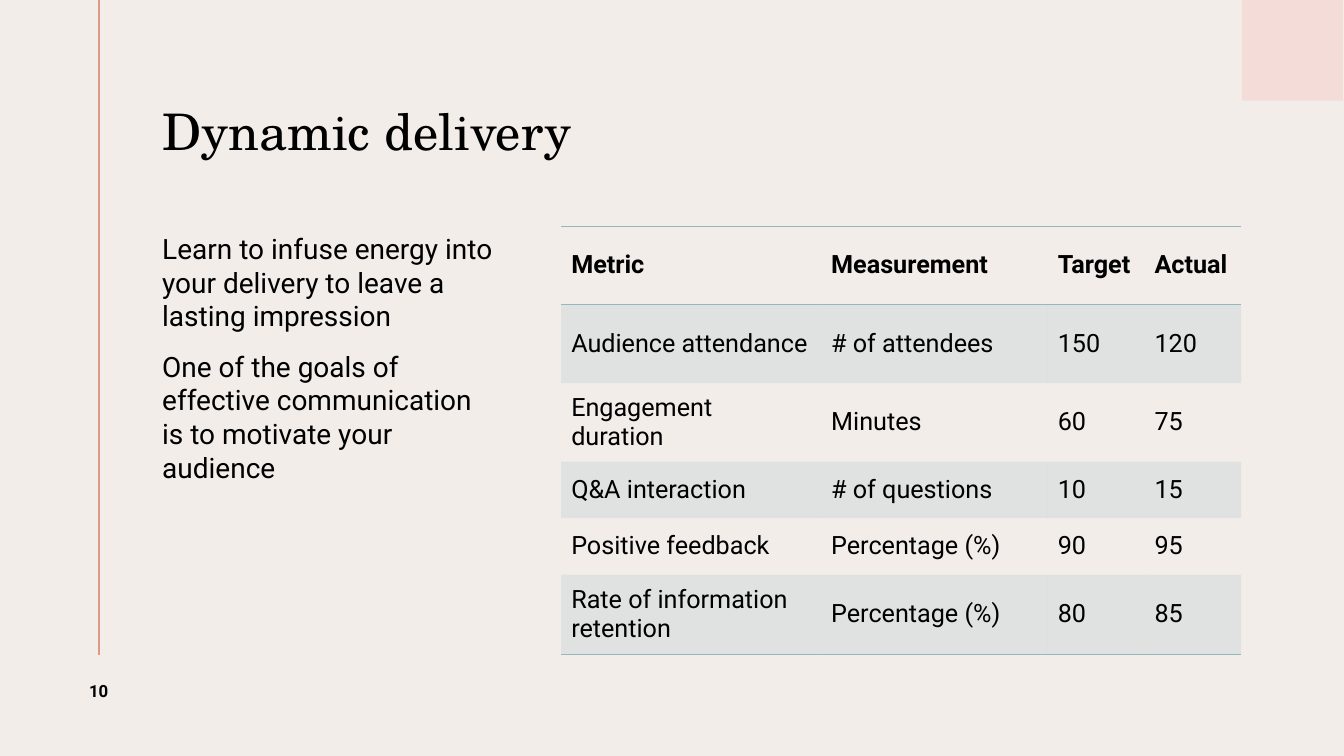
from dataclasses import dataclass

from lxml.etree import SubElement
from pptx import Presentation
from pptx.dml.color import RGBColor
from pptx.enum.shapes import MSO_CONNECTOR, MSO_SHAPE
from pptx.enum.text import MSO_ANCHOR as Anchor, MSO_AUTO_SIZE as AutoSize, PP_ALIGN as Align
from pptx.oxml.ns import qn
from pptx.util import Inches, Pt


@dataclass(frozen=True)
class Theme:
    background: str = "F3EDEA"
    corner: str = "F4DDD8"
    rule: str = "DF998B"
    table: str = "95B8BF"
    text: str = "000000"
    heading_font: str = "TeX Gyre Schola"
    body_font: str = "Roboto"
    title_size: int = 36
    body_size: int = 20
    table_size: int = 18
    number_size: int = 12
    rule_width: float = 1.5
    border_width: float = 0.45
    band_opacity: int = 20


THEME = Theme()
NO_STYLE_NO_GRID = "{2D5ABB26-0587-4C30-8999-92F81FD0307C}"

MESSAGES = [
    "Learn to infuse energy into your delivery to leave a lasting impression",
    "One of the goals of effective communication is to motivate your audience",
]
METRICS = [
    ("Metric", "Measurement", "Target", "Actual"),
    ("Audience attendance", "# of attendees", "150", "120"),
    ("Engagement duration", "Minutes", "60", "75"),
    ("Q&A interaction", "# of questions", "10", "15"),
    ("Positive feedback", "Percentage (%)", "90", "95"),
    ("Rate of information retention", "Percentage (%)", "80", "85"),
]
COLUMN_WIDTHS = [2.58, 2.25, 0.96, 0.96]
ROW_HEIGHTS = [0.78, 0.78, 0.78, 0.56, 0.56, 0.79]


def rgb(colour):
    return RGBColor.from_string(colour)


def apply_format(target, values):
    for name, value in values.items():
        setattr(target, name, value)


def write(frame, lines, size, font=THEME.body_font, bold=False, **paragraph_format):
    frame.text = "\n".join(lines)
    for paragraph in frame.paragraphs:
        apply_format(paragraph, paragraph_format)
        apply_format(paragraph.font, {"name": font, "size": Pt(size), "bold": bold})
        paragraph.font.color.rgb = rgb(THEME.text)


def add_title(slide, text):
    title = slide.shapes.title
    apply_format(title, {"left": Inches(1.61), "top": Inches(0.55),
                         "width": Inches(10.73), "height": Inches(1.56)})
    apply_format(title.text_frame, {"auto_size": AutoSize.NONE, "margin_left": 0,
                                    "vertical_anchor": Anchor.MIDDLE})
    write(title.text_frame, [text], THEME.title_size, THEME.heading_font,
          alignment=Align.LEFT, line_spacing=0.9)


def add_text(slide, box, lines, size, frame_format, **text_format):
    text_box = slide.shapes.add_textbox(*map(Inches, box))
    apply_format(text_box.text_frame, {"word_wrap": True, **frame_format})
    write(text_box.text_frame, lines, size, **text_format)
    return text_box


def add_corner(slide):
    corner = slide.shapes.add_shape(
        MSO_SHAPE.RECTANGLE, Inches(12.33), 0, Inches(1), Inches(1))
    corner.shadow.inherit = False
    corner.fill.solid()
    corner.fill.fore_color.rgb = rgb(THEME.corner)
    corner.line.fill.background()


def add_rule(slide, page_number):
    rule = slide.shapes.add_connector(
        MSO_CONNECTOR.STRAIGHT, Inches(0.98), 0, Inches(0.98), Inches(6.5))
    rule.end_connect(page_number, 0)
    rule.line.color.rgb = rgb(THEME.rule)
    rule.line.width = Pt(THEME.rule_width)
    SubElement(rule._element.spPr, qn("a:effectLst"))


def set_borders(cell, visible):
    properties = cell._tc.get_or_add_tcPr()
    for side in "LRTB":
        border = SubElement(properties, qn(f"a:ln{side}"), w=str(int(Pt(THEME.border_width))))
        if side in visible:
            fill = SubElement(border, qn("a:solidFill"))
            SubElement(fill, qn("a:srgbClr"), val=THEME.table)
        else:
            SubElement(border, qn("a:noFill"))


def set_band(cell, shaded):
    if not shaded:
        cell.fill.background()
        return
    cell.fill.solid()
    cell.fill.fore_color.rgb = rgb(THEME.table)
    colour = cell._tc.tcPr.find(f"{qn('a:solidFill')}/{qn('a:srgbClr')}")
    SubElement(colour, qn("a:alpha"), val=str(THEME.band_opacity * 1000))


def add_metrics_table(slide):
    metrics = slide.shapes.add_table(
        len(METRICS), len(COLUMN_WIDTHS), Inches(5.57), Inches(2.24),
        Inches(sum(COLUMN_WIDTHS)), Inches(sum(ROW_HEIGHTS))).table
    metrics.horz_banding = False
    metrics._tbl.tblPr.find(qn("a:tableStyleId")).text = NO_STYLE_NO_GRID
    for column, width in zip(metrics.columns, COLUMN_WIDTHS):
        column.width = Inches(width)
    for row, height in zip(metrics.rows, ROW_HEIGHTS):
        row.height = Inches(height)

    # Header is ruled above and below, the last row below; odd rows are shaded
    visible_borders = {0: "TB", 1: "T", len(METRICS) - 1: "B"}
    for r, values in enumerate(METRICS):
        for c, value in enumerate(values):
            cell = metrics.cell(r, c)
            cell.vertical_anchor = Anchor.MIDDLE
            write(cell.text_frame, [value], THEME.table_size, bold=r == 0)
            set_borders(cell, visible_borders.get(r, ""))
            set_band(cell, r % 2 == 1)


def main():
    deck = Presentation()
    deck.slide_width, deck.slide_height = Inches(13.34), Inches(7.5)
    slide = deck.slides.add_slide(deck.slide_layouts[5])
    slide.background.fill.solid()
    slide.background.fill.fore_color.rgb = rgb(THEME.background)

    # Page number with the vertical rule ending on it, and the corner square
    page_number = add_text(slide, (0.45, 6.5, 1.06, 0.71), ["10"], THEME.number_size,
                           {"vertical_anchor": Anchor.MIDDLE}, bold=True,
                           alignment=Align.CENTER)
    add_rule(slide, page_number)
    add_corner(slide)

    # Content
    add_title(slide, "Dynamic delivery")
    add_text(slide, (1.61, 2.25, 3.38, 4.23), MESSAGES, THEME.body_size,
             {"margin_left": 0}, space_after=Pt(12))
    add_metrics_table(slide)

    deck.save("out.pptx")


if __name__ == "__main__":
    main()
